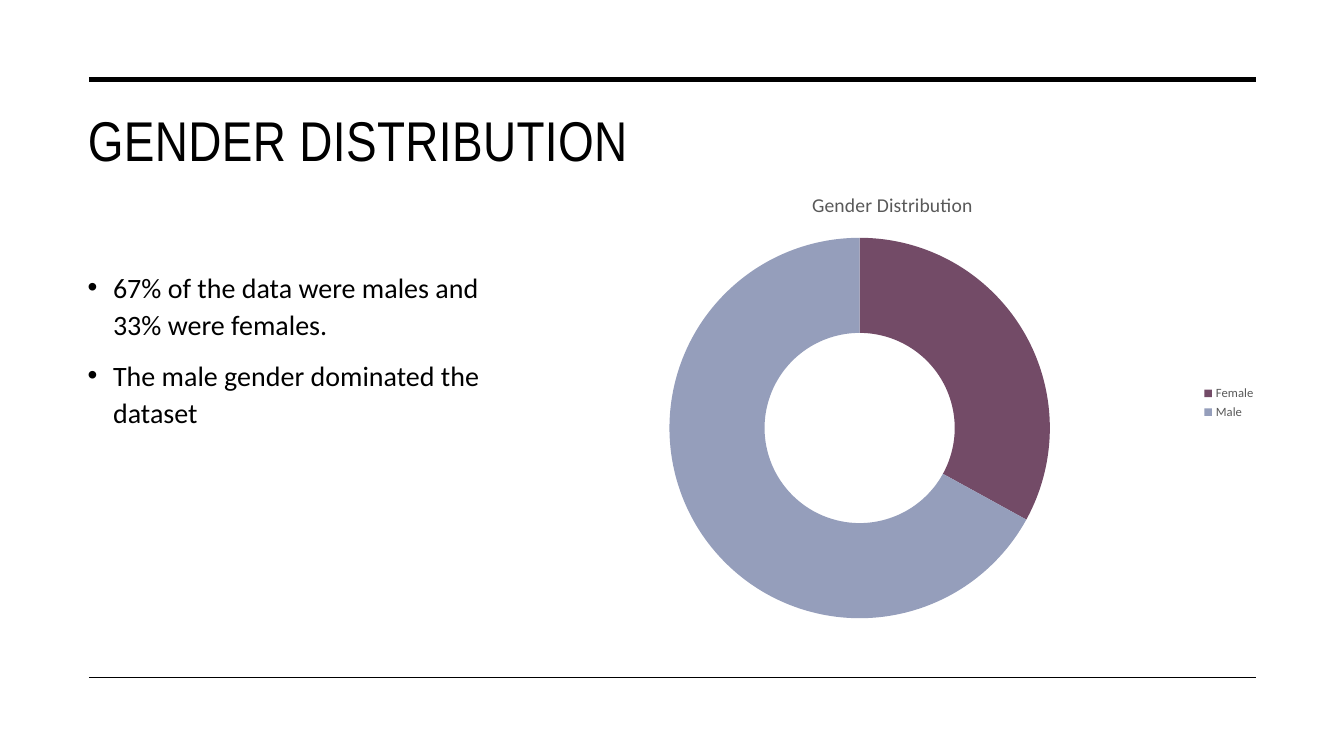
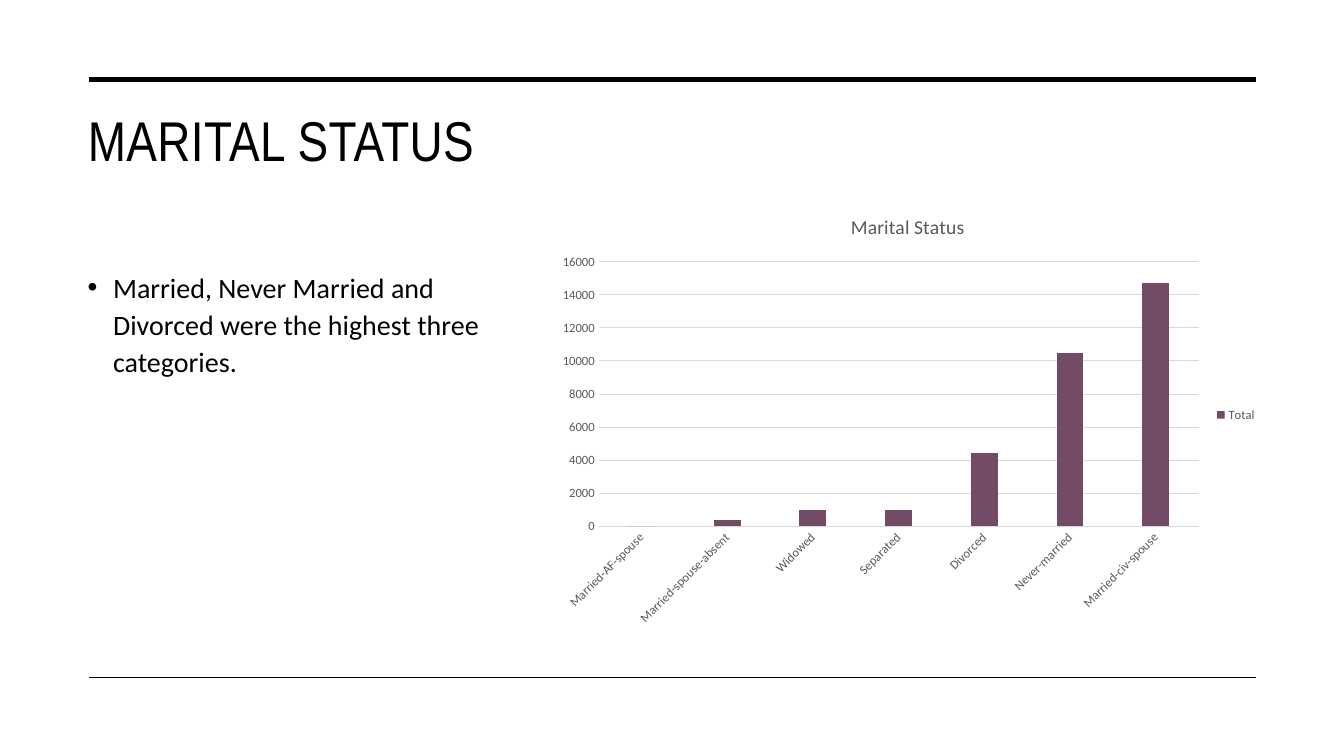
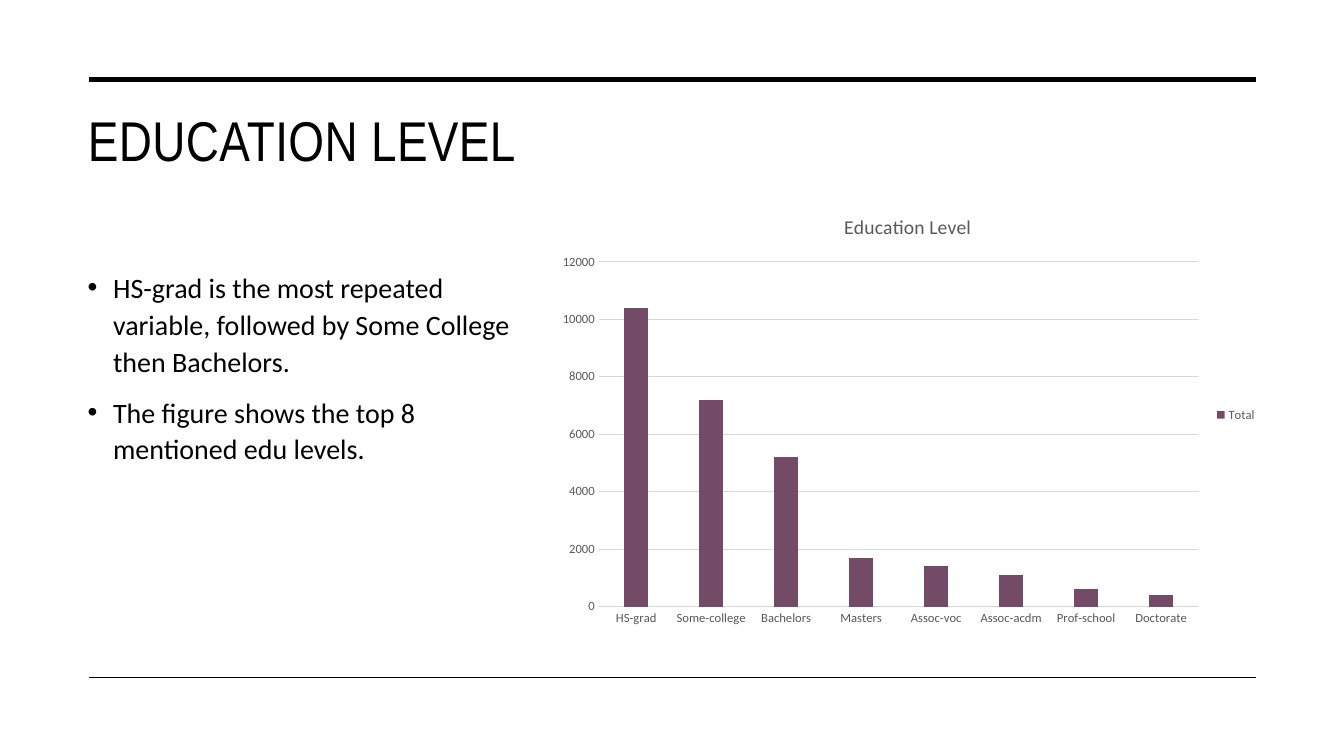
import pptx
import pptx.chart.data
import pptx.dml.color
import pptx.enum.chart
import pptx.enum.shapes
import pptx.enum.text
import pptx.oxml.ns
import pptx.util
from lxml import etree

Cm, Pt = pptx.util.Cm, pptx.util.Pt
qn = pptx.oxml.ns.qn
XL = pptx.enum.chart.XL_CHART_TYPE

COLORS = {"ink": "000000", "label": "595959", "grid": "D9D9D9",
          "plum": "734B67", "blue": "959EBB"}
FONTS = {
    "title": {"name": "Arial Narrow", "size": Pt(40), "bold": False, "color": "ink"},
    "body": {"name": "Calibri", "size": Pt(20), "color": "ink"},
    "chart": {"name": "Calibri", "size": Pt(10), "color": "ink"},
    "chart_title": {"name": "Calibri", "size": Pt(14), "bold": False, "color": "label"},
    "label": {"name": "Calibri", "size": Pt(9), "bold": False, "color": "label"},
}

# Boxes in cm: left, top, width, height
TITLE_BOX = (1.96, 2.54, 29.69, 3.63)
BODY_BOX = (1.96, 6.6, 11.15, 9.96)
DOUGHNUT_BOX = (13.08, 4.37, 18.82, 11.56)
COLUMN_BOX = (13.82, 4.93, 18.11, 11.05)

# Horizontal rules: y in cm, weight in points
RULE_LEFT, RULE_RIGHT = 2.24, 31.65
RULES = ((2.01, 3.5), (17.07, 1))

SLIDES = [
    {"title": "GENDER DISTRIBUTION",
     "bullets": ["67% of the data were males and 33% were females.",
                 "The male gender dominated the dataset"],
     "chart": {"kind": "doughnut", "title": "Gender Distribution", "series": "Series 1",
               "data": {"Female": 33, "Male": 67}}},
    {"title": "MARITAL STATUS",
     "bullets": ["Married, Never Married and Divorced were the highest three categories."],
     "chart": {"kind": "column", "title": "Marital Status", "series": "Total", "max": 16000,
               "data": {"Married-AF-spouse": 0, "Married-spouse-absent": 400,
                        "Widowed": 1000, "Separated": 1000, "Divorced": 4400,
                        "Never-married": 10500, "Married-civ-spouse": 14700}}},
    {"title": "EDUCATION LEVEL",
     "bullets": ["HS-grad is the most repeated variable, followed by Some College "
                 "then Bachelors.",
                 "The figure shows the top 8 mentioned edu levels."],
     "chart": {"kind": "column", "title": "Education Level", "series": "Total", "max": 12000,
               "data": {"HS-grad": 10400, "Some-college": 7200, "Bachelors": 5200,
                        "Masters": 1700, "Assoc-voc": 1400, "Assoc-acdm": 1100,
                        "Prof-school": 600, "Doctorate": 400}}},
]


def rgb(key):
    return pptx.dml.color.RGBColor.from_string(COLORS[key])


def lengths(box):
    return [Cm(v) for v in box]


def set_font(font, style):
    for attr, value in FONTS[style].items():
        if attr == "color":
            font.color.rgb = rgb(value)
        else:
            setattr(font, attr, value)


def paint(fmt, key):
    fmt.fill.solid()
    fmt.fill.fore_color.rgb = rgb(key)


def set_line(line, key, weight):
    line.color.rgb = rgb(key)
    line.width = Pt(weight)


def add_rules(s):
    for y, weight in RULES:
        rule = s.shapes.add_connector(pptx.enum.shapes.MSO_CONNECTOR.STRAIGHT,
                                      Cm(RULE_LEFT), Cm(y), Cm(RULE_RIGHT), Cm(y))
        set_line(rule.line, "ink", weight)
        etree.SubElement(rule._element.spPr, qn("a:effectLst"))


def set_title(s, text, box):
    sp = s.shapes.title
    sp.left, sp.top, sp.width, sp.height = lengths(box)
    tf = sp.text_frame
    tf.auto_size = pptx.enum.text.MSO_AUTO_SIZE.NONE
    tf.vertical_anchor = pptx.enum.text.MSO_ANCHOR.TOP
    p = tf.paragraphs[0]
    p.alignment = pptx.enum.text.PP_ALIGN.LEFT
    r = p.add_run()
    r.text = text
    set_font(r.font, "title")
    r._r.get_or_add_rPr().set("spc", "30")


def add_bullets(s, bullets, box):
    tf = s.shapes.add_textbox(*lengths(box)).text_frame
    tf.word_wrap = True
    for i, text in enumerate(bullets):
        p = tf.add_paragraph() if i else tf.paragraphs[0]
        p.line_spacing = 1.1
        if i:
            p.space_before = Pt(10)
        # Hanging bullet
        pPr = p._p.get_or_add_pPr()
        pPr.set("marL", str(Cm(0.64)))
        pPr.set("indent", str(-Cm(0.64)))
        etree.SubElement(pPr, qn("a:buFont")).set("typeface", "Arial")
        etree.SubElement(pPr, qn("a:buChar")).set("char", "•")
        r = p.add_run()
        r.text = text
        set_font(r.font, "body")


def add_chart(s, spec, chart_type, box):
    data = pptx.chart.data.CategoryChartData()
    data.categories = list(spec["data"])
    data.add_series(spec["series"], list(spec["data"].values()))
    chart = s.shapes.add_chart(chart_type, *lengths(box), data).chart
    set_font(chart.font, "chart")
    # Title and legend
    chart.has_title = True
    p = chart.chart_title.text_frame.paragraphs[0]
    r = p.add_run()
    r.text = spec["title"]
    set_font(r.font, "chart_title")
    chart.has_legend = True
    chart.legend.position = pptx.enum.chart.XL_LEGEND_POSITION.RIGHT
    chart.legend.include_in_layout = False
    set_font(chart.legend.font, "label")
    return chart


def add_doughnut(s, spec):
    chart = add_chart(s, spec, XL.DOUGHNUT, DOUGHNUT_BOX)
    plot = chart.plots[0]
    plot.has_data_labels = False
    for i, key in enumerate(("plum", "blue")):
        paint(plot.series[0].points[i].format, key)


def add_columns(s, spec):
    chart = add_chart(s, spec, XL.COLUMN_CLUSTERED, COLUMN_BOX)
    plot = chart.plots[0]
    plot.gap_width = 219
    plot.vary_by_categories = False
    paint(plot.series[0].format, "plum")
    # Axes
    cat, val = chart.category_axis, chart.value_axis
    for axis in (cat, val):
        axis.major_tick_mark = axis.minor_tick_mark = pptx.enum.chart.XL_TICK_MARK.NONE
        set_font(axis.tick_labels.font, "label")
        # Automatic label rotation
        axis._element.find(qn("c:txPr")).find(qn("a:bodyPr")).set("rot", "-60000000")
    set_line(cat.format.line, "grid", 0.75)
    val.format.line.fill.background()
    val.has_major_gridlines = True
    set_line(val.major_gridlines.format.line, "grid", 0.75)
    for attr, value in {"minimum_scale": 0, "maximum_scale": spec["max"],
                        "major_unit": 2000}.items():
        setattr(val, attr, value)


CHART_BUILDERS = {"doughnut": add_doughnut, "column": add_columns}


def add_content_slide(prs, content):
    s = prs.slides.add_slide(prs.slide_layouts[5])
    add_rules(s)
    set_title(s, content["title"], TITLE_BOX)
    add_bullets(s, content["bullets"], BODY_BOX)
    CHART_BUILDERS[content["chart"]["kind"]](s, content["chart"])


def main():
    prs = pptx.Presentation()
    prs.slide_width, prs.slide_height = Cm(33.87), Cm(19.05)
    for content in SLIDES:
        add_content_slide(prs, content)
    prs.save("out.pptx")


if __name__ == "__main__":
    main()
